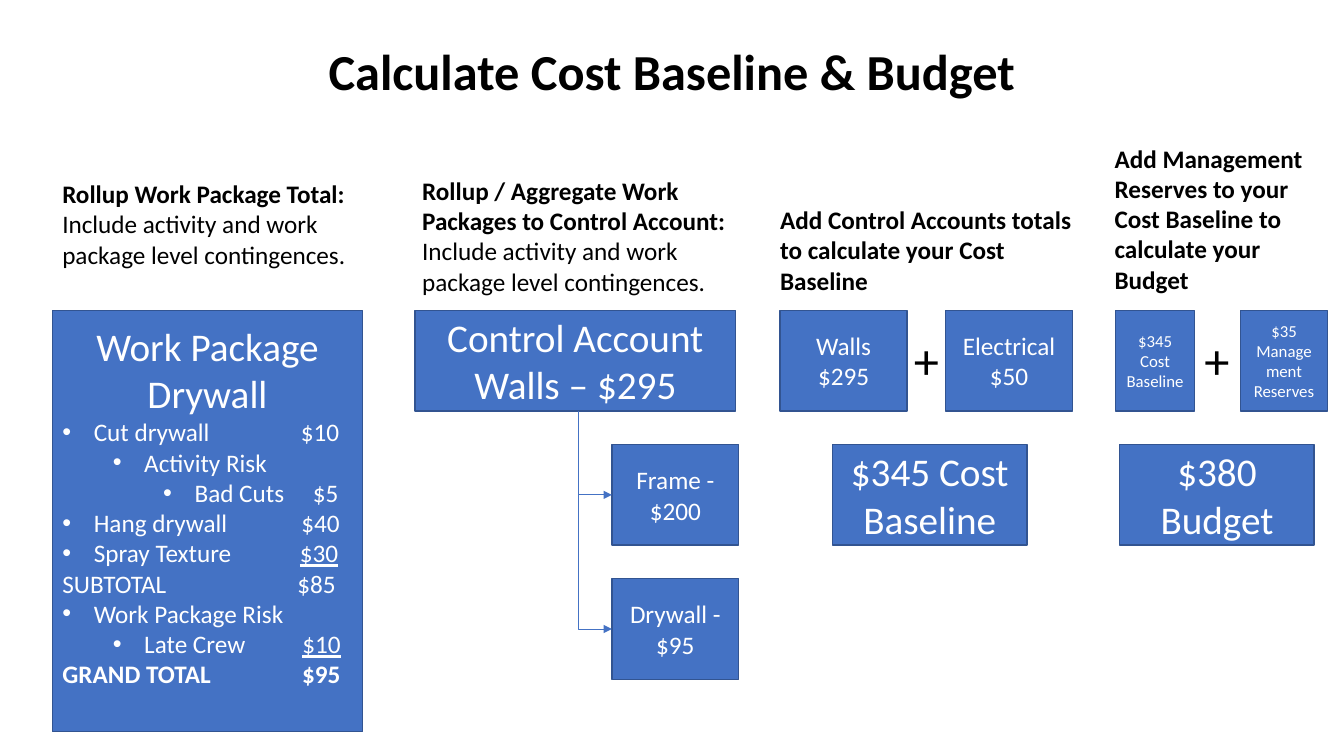
from lxml import etree
from pptx import Presentation
from pptx.dml.color import RGBColor
from pptx.enum.shapes import MSO_CONNECTOR, MSO_SHAPE
from pptx.enum.text import MSO_ANCHOR, MSO_AUTO_SIZE, PP_ALIGN
from pptx.oxml.ns import qn
from pptx.util import Cm, Pt

RECTANGLE = MSO_SHAPE.RECTANGLE
ELBOW = MSO_CONNECTOR.ELBOW
CENTER, LEFT = PP_ALIGN.CENTER, PP_ALIGN.LEFT
TOP, MIDDLE = MSO_ANCHOR.TOP, MSO_ANCHOR.MIDDLE
FIT_SHAPE, NO_FIT = MSO_AUTO_SIZE.SHAPE_TO_FIT_TEXT, MSO_AUTO_SIZE.NONE

FONT = "Calibri"
SPACE_WIDTH = 4.07  # points, at 18 pt
COLORS = {"fill": "4472C4", "border": "325491", "light": "FFFFFF", "dark": "000000"}

# Rows of boxes, in cm
BOX_HEIGHT = 2.54
ROWS = [7.82 + 3.38 * row for row in range(3)]
TRUNK_LEFT, BRANCH_LEFT = 14.58, 15.42

# Bold lead, plain rest, left, top, width, height
DETAIL = " Include activity and work package level contingences."
CAPTIONS = [
    ("Rollup Work Package Total:", DETAIL, 1.32, 4.37, 7.82, 2.57),
    ("Rollup / Aggregate Work Packages to Control Account:", DETAIL,
     10.39, 4.29, 8.38, 3.33),
    ("Add Control Accounts totals to calculate your Cost Baseline", "",
     19.41, 5.03, 8.38, 2.57),
    ("Add Management Reserves to your Cost Baseline to calculate your Budget", "",
     27.84, 3.48, 5.44, 4.11),
]

# Lines, left, row, width, font size
BOXES = [
    ("Control Account\nWalls – $295", 10.46, 0, 8.08, 28),
    ("Frame - $200", BRANCH_LEFT, 1, 3.2, 18),
    ("Drywall - $95", BRANCH_LEFT, 2, 3.2, 18),
    ("Walls $295", 19.66, 0, 3.2, 18),
    ("Electrical $50", 23.83, 0, 3.2, 18),
    ("$345 Cost Baseline", 20.98, 1, 4.9, 28),
    ("$345 Cost Baseline", 28.12, 0, 1.98, 12),
    ("$35 Management Reserves", 31.27, 0, 2.18, 12),
    ("$380 Budget", 28.22, 1, 4.9, 28),
]
PLUS_LEFTS = [22.78, 30.1]

# Label, price, gap in space widths, bullet level (None: no bullet), underlined price
COSTS = [
    ("Cut drywall", "$10", 16, 0, False),
    ("Activity Risk", "", 0, 1, False),
    ("Bad Cuts", "$5", 5, 2, False),
    ("Hang drywall", "$40", 13, 0, False),
    ("Spray Texture", "$30", 12, 0, True),
    ("SUBTOTAL", "$85", 23, None, False),
    ("Work Package Risk", "", 0, 0, False),
    ("Late Crew", "$10", 10, 1, True),
    ("GRAND TOTAL", "$95", 16, None, False),
]


def color(name):
    return RGBColor.from_string(COLORS[name])


def format_span(span, size, color_name, bold=False):
    span.font.name = FONT
    span.font.size = Pt(size)
    span.font.bold = bold
    span.font.color.rgb = color(color_name)


def add_span(para, text, size, color_name, bold=False):
    span = para.add_run()
    span.text = text
    format_span(span, size, color_name, bold)
    return span


def place(box, left, top, width, height):
    box.left, box.top, box.width, box.height = Cm(left), Cm(top), Cm(width), Cm(height)


def paint(box):
    box.fill.solid()
    box.fill.fore_color.rgb = color("fill")
    box.line.color.rgb = color("border")
    box.line.width = Pt(1)


def set_bullet(para, level):
    """Indent and bullet a paragraph, or clear both when level is None."""
    properties = para._p.get_or_add_pPr()
    para.space_before = Pt(0)
    hanging = 0 if level is None else Cm(0.79)
    start = 0 if level is None else hanging + Cm(1.27) * level
    properties.set("marL", str(start))
    properties.set("indent", str(-hanging))
    if level is None:
        etree.SubElement(properties, qn("a:buNone"))
    else:
        para.level = level
        etree.SubElement(properties, qn("a:buFont")).set("typeface", "Arial")
        etree.SubElement(properties, qn("a:buChar")).set("char", "•")


def add_title(page, text):
    title = page.shapes.title
    place(title, 1.9, 0.89, 30.07, 1.8)
    frame = title.text_frame
    frame.text = text
    frame.vertical_anchor = TOP
    frame.auto_size = NO_FIT
    frame.paragraphs[0].alignment = CENTER
    format_span(frame.paragraphs[0].runs[0], 36, "dark", True)


def fill_work_package(box):
    place(box, 1.32, ROWS[0], 7.82, 10.62)
    paint(box)
    frame = box.text_frame
    frame.text = "Work Package\nDrywall"
    frame.vertical_anchor = MIDDLE
    frame.auto_size = NO_FIT
    frame.margin_bottom = Cm(0.9)
    for para in frame.paragraphs:
        set_bullet(para, None)
        para.alignment = CENTER
        format_span(para.runs[0], 28, "light")
    for label, price, gap, level, underlined in COSTS:
        para = frame.add_paragraph()
        set_bullet(para, level)
        para.alignment = LEFT
        bold = label == "GRAND TOTAL"
        add_span(para, label, 18, "light", bold)
        if price:
            # One space, tracked out to the price column
            spacer = add_span(para, " ", 18, "light", bold)
            tracking = round((gap - 1) * SPACE_WIDTH * 100)
            spacer._r.get_or_add_rPr().set("spc", str(tracking))
            add_span(para, price, 18, "light", bold).font.underline = underlined


def add_box(page, text, left, row, width, size):
    box = page.shapes.add_shape(
        RECTANGLE, Cm(left), Cm(ROWS[row]), Cm(width), Cm(BOX_HEIGHT))
    box.shadow.inherit = False
    paint(box)
    frame = box.text_frame
    frame.text = text
    frame.word_wrap = True
    frame.vertical_anchor = MIDDLE
    for para in frame.paragraphs:
        para.alignment = CENTER
        format_span(para.runs[0], size, "light")


def add_label(page, left, top, width, height, wrap=True):
    box = page.shapes.add_textbox(Cm(left), Cm(top), Cm(width), Cm(height))
    box.text_frame.word_wrap = wrap
    box.text_frame.auto_size = FIT_SHAPE
    return box.text_frame.paragraphs[0]


def add_branch(page, row):
    """Draw an arrow down the trunk and right to the box in a row."""
    start = ROWS[0] + BOX_HEIGHT
    drop = ROWS[row] + BOX_HEIGHT / 2 - start
    reach = BRANCH_LEFT - TRUNK_LEFT
    # The frame is turned a quarter about its centre
    left = TRUNK_LEFT + (reach - drop) / 2
    top = start + (drop - reach) / 2
    branch = page.shapes.add_connector(
        ELBOW, Cm(left + drop), Cm(top), Cm(left), Cm(top + reach))
    branch.line.color.rgb = color("fill")
    branch.line.width = Pt(0.5)
    properties = branch._element.spPr
    properties.find(qn("a:xfrm")).set("rot", "16200000")
    properties.find(qn("a:prstGeom")).set("prst", "bentConnector2")
    etree.SubElement(properties.find(qn("a:ln")), qn("a:tailEnd")).set("type", "triangle")
    etree.SubElement(properties, qn("a:effectLst"))


def main():
    deck = Presentation()
    deck.slide_width, deck.slide_height = Cm(33.87), Cm(19.05)
    page = deck.slides.add_slide(deck.slide_layouts[1])

    # Title and work package list
    add_title(page, "Calculate Cost Baseline & Budget")
    fill_work_package(page.placeholders[1])

    # Captions
    for lead, rest, *area in CAPTIONS:
        para = add_label(page, *area)
        add_span(para, lead, 18, "dark", True)
        if rest:
            add_span(para, rest, 18, "dark")

    # Boxes, branches and plus signs
    for box in BOXES:
        add_box(page, *box)
    for row in (1, 2):
        add_branch(page, row)
    for left in PLUS_LEFTS:
        add_span(add_label(page, left, 8.18, 1.14, 1.8, wrap=False), "+", 36, "dark")

    deck.save("out.pptx")


if __name__ == "__main__":
    main()
